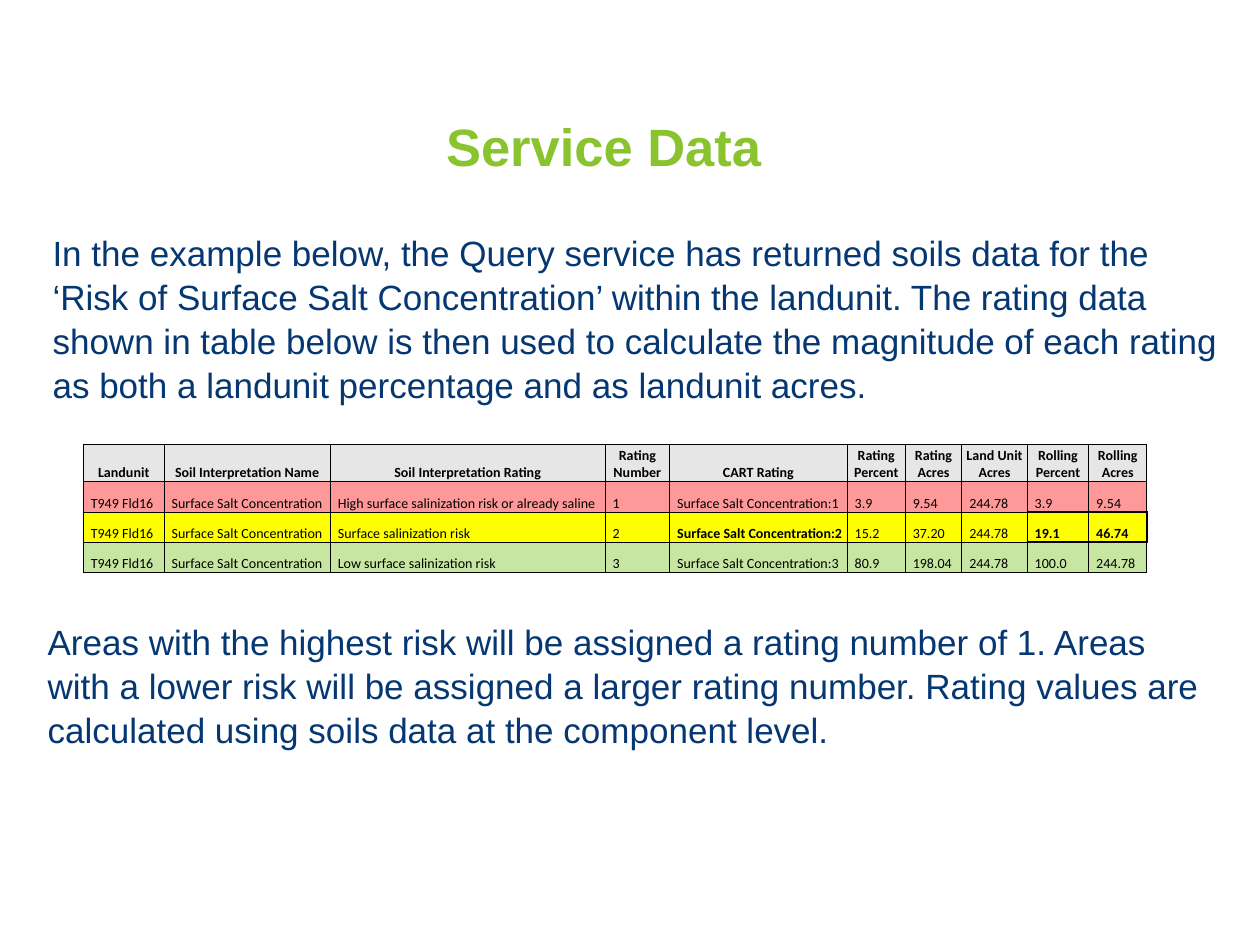
from lxml import etree
from pptx import Presentation
from pptx.dml.color import RGBColor
from pptx.enum.text import MSO_ANCHOR, PP_ALIGN
from pptx.oxml.ns import qn
from pptx.util import Cm, Pt

CENTER, LEFT = PP_ALIGN.CENTER, PP_ALIGN.LEFT
TOP, BOTTOM = MSO_ANCHOR.TOP, MSO_ANCHOR.BOTTOM
TITLE_ONLY = 5

COLORS = {
    "title": "89C32D", "body": "053773", "ink": "000000",
    "header": "E7E6E6", "high": "FF9999", "medium": "FFFF00", "low": "C6E6A2",
}
ROW_FILLS = ["header", "high", "medium", "low"]

INTRO = (
    "In the example below, the Query service has returned soils data for the "
    "‘Risk of Surface Salt Concentration’ within the landunit. The rating data "
    "shown in table below is then used to calculate the magnitude of each rating "
    "as both a landunit percentage and as landunit acres."
)
NOTE = (
    "Areas with the highest risk will be assigned a rating number of 1. Areas "
    "with a lower risk will be assigned a larger rating number. Rating values are "
    "calculated using soils data at the component level."
)

HEADERS = [
    "Landunit", "Soil Interpretation Name", "Soil Interpretation Rating",
    "Rating Number", "CART Rating", "Rating Percent", "Rating Acres",
    "Land Unit Acres", "Rolling Percent", "Rolling Acres",
]
LANDUNIT, INTERPRETATION, UNIT_ACRES = "T949 Fld16", "Surface Salt Concentration", "244.78"
# Rating, percent, acres, rolling percent, rolling acres
RATINGS = [
    ("High surface salinization risk or already saline", "3.9", "9.54", "3.9", "9.54"),
    ("Surface salinization risk", "15.2", "37.20", "19.1", "46.74"),
    ("Low surface salinization risk", "80.9", "198.04", "100.0", "244.78"),
]
COL_WIDTHS = [1.63, 3.35, 5.54, 1.3, 3.58, 1.17, 1.14, 1.32, 1.24, 1.17]
ROW_HEIGHTS = [0.76, 0.61, 0.61, 0.61]
BOLD_CELLS = {(2, 4), (2, 8), (2, 9)}
THIN, THICK = 0.5, 1
# Edges of the header rule and of the box around the rolling values
THICK_EDGES = (
    {(0, c, "B") for c in range(10)} | {(1, c, "T") for c in range(10)}
    | {(r, c, side) for c in (8, 9) for r, side in ((1, "B"), (2, "T"), (2, "B"), (3, "T"))}
    | {(2, 7, "R"), (2, 8, "L"), (2, 9, "R")}
)


def rgb(name):
    return RGBColor.from_string(COLORS[name])


def style_paragraph(p, font, size, color, bold=False, align=LEFT):
    p.alignment = align
    p.font.name = font
    p.font.size = Pt(size)
    p.font.bold = bold
    p.font.color.rgb = rgb(color)


def add_title(s, text):
    title = s.shapes.title
    title.left, title.top, title.width, title.height = Cm(0.74), Cm(2.06), Cm(22.86), Cm(1.85)
    tf = title.text_frame
    tf.text = text
    tf.vertical_anchor = TOP
    tf.margin_top = Cm(0.23)
    style_paragraph(tf.paragraphs[0], "Arial", 30, "title", True, CENTER)


def add_body(s, text, left, top, height):
    tf = s.shapes.add_textbox(Cm(left), Cm(top), Cm(24.05), Cm(height)).text_frame
    tf.word_wrap = True
    p = tf.paragraphs[0]
    p.text = text
    p.line_spacing = 1.05
    style_paragraph(p, "Arial", 20, "body")


def set_border(cell, side, width):
    tc_pr = cell._tc.get_or_add_tcPr()
    ln = etree.SubElement(tc_pr, qn(f"a:ln{side}"), w=str(Pt(width)))
    fill = etree.SubElement(ln, qn("a:solidFill"))
    etree.SubElement(fill, qn("a:srgbClr"), val=COLORS["ink"])


def fill_cell(cell, row, col, text):
    header = row == 0
    for side in "LRTB":
        set_border(cell, side, THICK if (row, col, side) in THICK_EDGES else THIN)
    cell.fill.solid()
    cell.fill.fore_color.rgb = rgb(ROW_FILLS[row])
    cell.vertical_anchor = BOTTOM
    cell.margin_left = Cm(0.03 if header else 0.15)
    cell.margin_top = cell.margin_right = Cm(0.03)
    cell.margin_bottom = 0
    cell.text = text
    style_paragraph(cell.text_frame.paragraphs[0], "Calibri", 8, "ink",
                    header or (row, col) in BOLD_CELLS, CENTER if header else LEFT)


def add_rating_table(s):
    rows = [HEADERS]
    for number, (rating, percent, acres, roll_percent, roll_acres) in enumerate(RATINGS, 1):
        rows.append([LANDUNIT, INTERPRETATION, rating, str(number),
                     f"{INTERPRETATION}:{number}", percent, acres, UNIT_ACRES,
                     roll_percent, roll_acres])
    table = s.shapes.add_table(len(rows), len(HEADERS), Cm(1.68), Cm(8.95),
                               Cm(sum(COL_WIDTHS)), Cm(sum(ROW_HEIGHTS))).table
    table.horz_banding = False
    for column, width in zip(table.columns, COL_WIDTHS):
        column.width = Cm(width)
    for r, values in enumerate(rows):
        table.rows[r].height = Cm(ROW_HEIGHTS[r])
        for c, text in enumerate(values):
            fill_cell(table.cell(r, c), r, c, text)


def main():
    prs = Presentation()
    prs.slide_width, prs.slide_height = Cm(25.4), Cm(19.05)
    s = prs.slides.add_slide(prs.slide_layouts[TITLE_ONLY])
    add_title(s, "Service Data")
    add_body(s, INTRO, 0.81, 4.5, 3.68)
    add_rating_table(s)
    add_body(s, NOTE, 0.71, 12.34, 2.82)
    prs.save("out.pptx")


if __name__ == "__main__":
    main()
